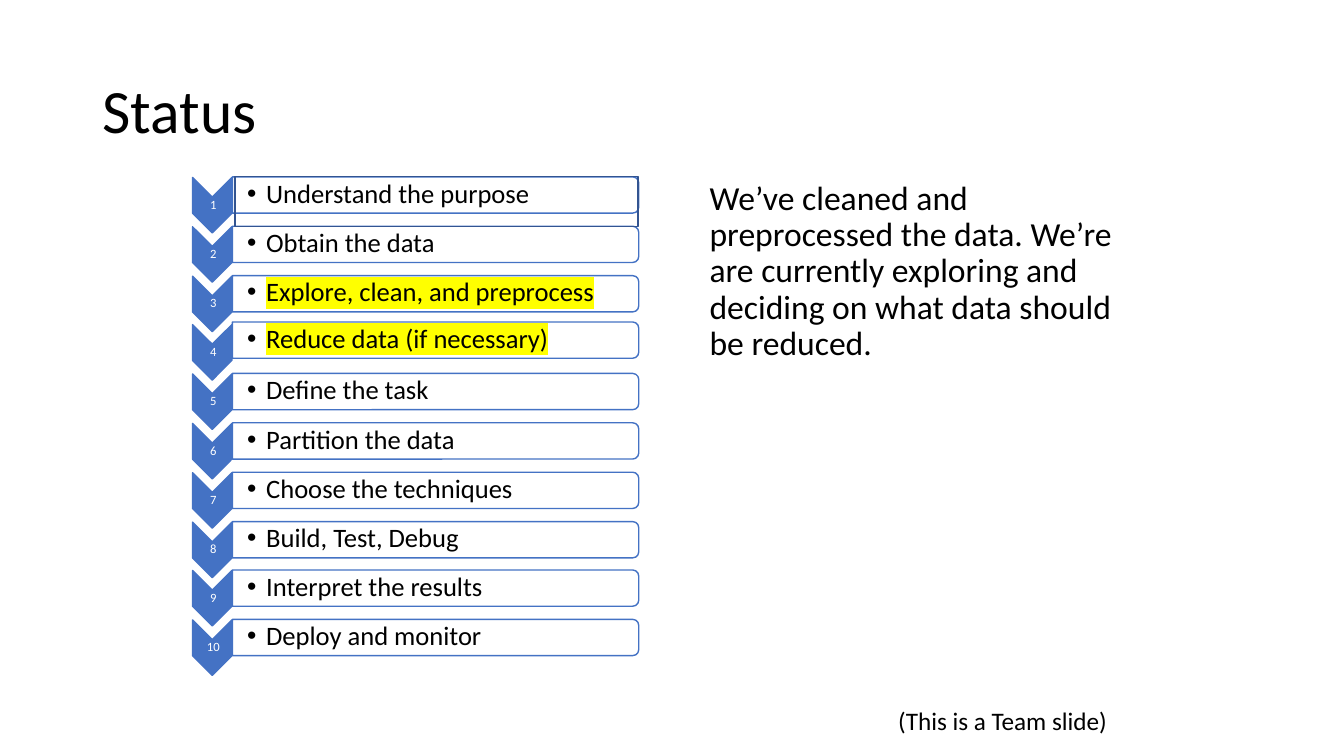
"""Build the project status slide: ten process steps beside a short progress note."""
from dataclasses import dataclass
from typing import Any, NamedTuple, Optional

from lxml.etree import SubElement
from pptx import Presentation
from pptx.dml.color import RGBColor
from pptx.enum.shapes import MSO_SHAPE as Preset
from pptx.enum.text import MSO_ANCHOR as Anchor, MSO_AUTO_SIZE as AutoSize, PP_ALIGN as Align
from pptx.oxml.ns import qn
from pptx.util import Pt

EMU_PER_PX = 9144


@dataclass(frozen=True)
class Theme:
    font: str = "Calibri"
    ink: str = "000000"
    paper: str = "FFFFFF"
    accent: str = "4472C4"
    frame: str = "325491"
    marker: str = "FFFF00"
    title_size: int = 44
    note_size: int = 24
    step_size: int = 19
    footer_size: int = 18
    number_size: int = 9
    line_width: int = 1


class Box(NamedTuple):
    left: int
    top: int
    width: int
    height: int

    def down(self, offset: int) -> "Box":
        return self._replace(top=self.top + offset)

    def emu(self) -> list[int]:
        return [px(length) for length in self]


@dataclass(frozen=True)
class Step:
    label: str
    current: bool = False
    nudge: int = 0


THEME = Theme()
STEPS = (
    Step("Understand the purpose"),
    Step("Obtain the data"),
    Step("Explore, clean, and preprocess", current=True),
    Step("Reduce data (if necessary)", current=True, nudge=-2),
    Step("Define the task"),
    Step("Partition the data"),
    Step("Choose the techniques"),
    Step("Build, Test, Debug"),
    Step("Interpret the results"),
    Step("Deploy and monitor"),
)
STEP_PITCH = 48.8
CHEVRON = Box(183, 184, 55, 39)
NUMBER = Box(192, 195, 39, 17)
BAR = Box(414, -8, 36, 403)
LABEL = Box(230, 177, 401, 32)


def px(length: int) -> int:
    return length * EMU_PER_PX


def add_text(shapes: Any, box: Box, text: str, *, size: int, color: str = THEME.ink,
             anchor: Anchor = Anchor.TOP, align: Align = Align.LEFT,
             insets: tuple[int, int, int, int] = (10, 5, 10, 5), spacing: float = 0.9,
             before: int = 0, indent: int = 0, bullet: Optional[str] = None,
             highlight: Optional[str] = None, wrap: bool = True) -> None:
    frame = shapes.add_textbox(*box.emu()).text_frame
    frame.word_wrap = wrap
    frame.auto_size = AutoSize.NONE if wrap else AutoSize.SHAPE_TO_FIT_TEXT
    frame.vertical_anchor = anchor
    (frame.margin_left, frame.margin_top,
     frame.margin_right, frame.margin_bottom) = map(px, insets)
    paragraph = frame.paragraphs[0]
    paragraph.alignment = align
    paragraph.line_spacing = spacing
    paragraph.space_before = Pt(before)
    properties = paragraph._p.get_or_add_pPr()
    properties.set("marL", str(px(indent)))
    if bullet:
        properties.set("indent", str(-px(indent)))
        SubElement(properties, qn("a:buFont"), typeface="Arial")
        SubElement(properties, qn("a:buChar"), char=bullet)
    run = paragraph.add_run()
    run.text = text
    run.font.name = THEME.font
    run.font.size = Pt(size)
    run.font.color.rgb = RGBColor.from_string(color)
    if highlight:
        run_properties = run._r.get_or_add_rPr()
        mark = SubElement(run_properties, qn("a:highlight"))
        SubElement(mark, qn("a:srgbClr"), val=highlight)
        run_properties.find(qn("a:solidFill")).addnext(mark)


def add_outline(shapes: Any, preset: Preset, box: Box, *, line: str,
                fill: Optional[str] = None, opacity: int = 100, rotation: int = 0) -> None:
    shape = shapes.add_shape(preset, *box.emu())
    shape.shadow.inherit = False
    shape.rotation = rotation
    shape.line.color.rgb = RGBColor.from_string(line)
    shape.line.width = Pt(THEME.line_width)
    if fill is None:
        shape.fill.background()
        return
    shape.fill.solid()
    shape.fill.fore_color.rgb = RGBColor.from_string(fill)
    if opacity < 100:
        tint = shape._element.spPr.find(qn("a:solidFill")).find(qn("a:srgbClr"))
        SubElement(tint, qn("a:alpha"), val=str(opacity * 1000))


def add_step(shapes: Any, index: int, step: Step) -> None:
    offset = round(index * STEP_PITCH)
    add_outline(shapes, Preset.CHEVRON, CHEVRON.down(offset),
                line=THEME.accent, fill=THEME.accent, rotation=90)
    add_text(shapes, NUMBER.down(offset), str(index + 1), size=THEME.number_size,
             color=THEME.paper, anchor=Anchor.MIDDLE, align=Align.CENTER, insets=(1, 1, 1, 1))
    offset += step.nudge
    add_outline(shapes, Preset.ROUND_2_SAME_RECTANGLE, BAR.down(offset),
                line=THEME.accent, fill=THEME.paper, opacity=90, rotation=90)
    add_text(shapes, LABEL.down(offset), step.label, size=THEME.step_size,
             anchor=Anchor.MIDDLE, insets=(15, 1, 1, 1), indent=19, bullet="•",
             highlight=THEME.marker if step.current else None)


def main() -> None:
    deck = Presentation()
    deck.slide_width, deck.slide_height = px(1333), px(750)
    shapes = deck.slides.add_slide(deck.slide_layouts[6]).shapes
    add_text(shapes, Box(92, 40, 1150, 145), "Status",
             size=THEME.title_size, anchor=Anchor.MIDDLE)
    add_text(shapes, Box(650, 175, 467, 495),
             "We’ve cleaned and preprocessed the data. We’re are currently exploring "
             "and deciding on what data should be reduced.",
             size=THEME.note_size, before=5, indent=44)
    process = shapes.add_group_shape()
    for index, step in enumerate(STEPS):
        add_step(process.shapes, index, step)
    add_outline(shapes, Preset.RECTANGLE, Box(233, 175, 400, 50), line=THEME.frame)
    add_text(shapes, Box(881, 695, 230, 40), "(This is a Team slide)",
             size=THEME.footer_size, spacing=1.0, wrap=False)
    deck.save("out.pptx")


if __name__ == "__main__":
    main()
